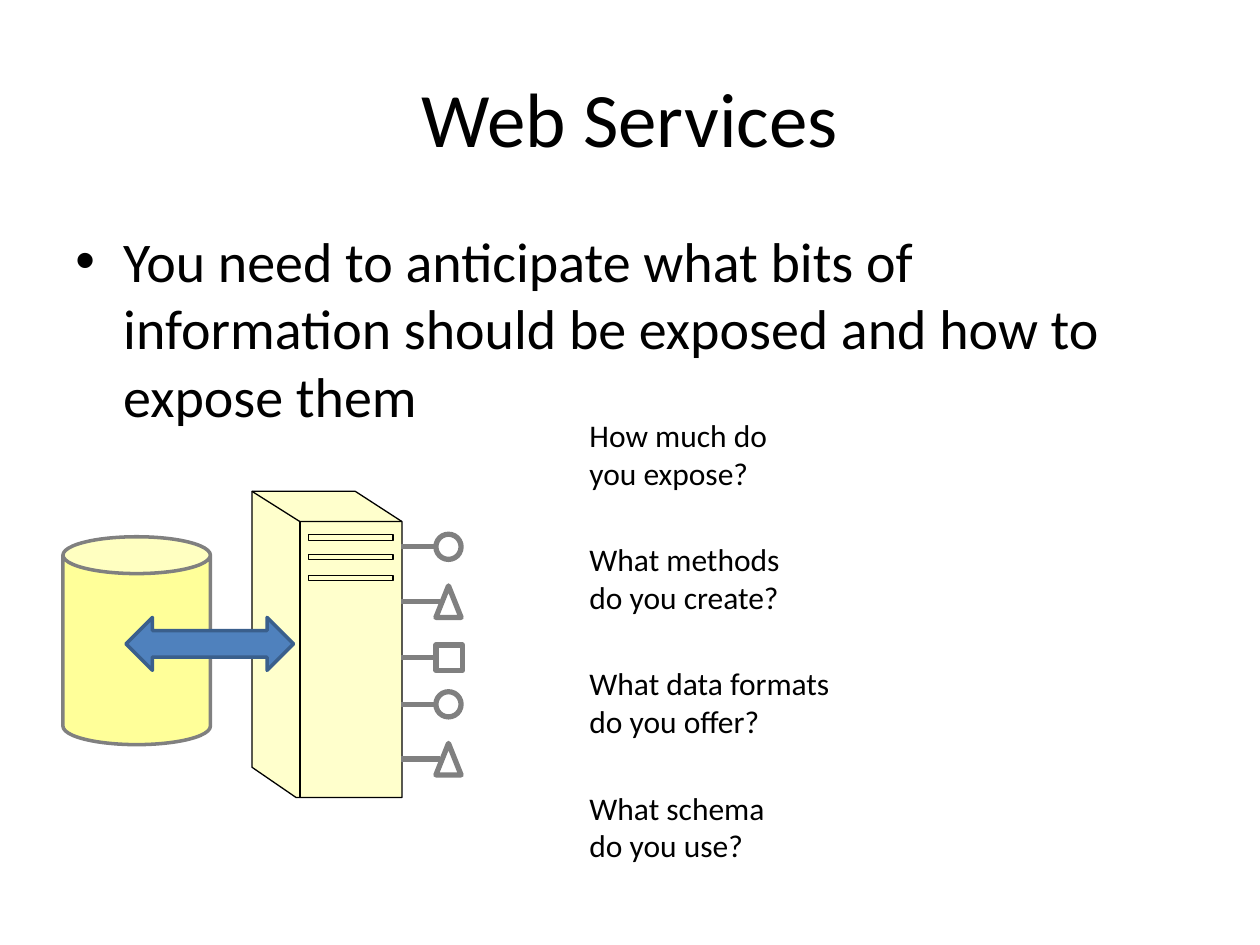
from pptx import Presentation
from pptx.dml.color import RGBColor
from pptx.enum.shapes import MSO_CONNECTOR, MSO_SHAPE
from pptx.enum.text import MSO_ANCHOR, PP_ALIGN
from pptx.oxml.ns import qn
from pptx.util import Pt
from lxml.etree import SubElement

PX = 9144
BLACK = RGBColor(0x00, 0x00, 0x00)
WHITE = RGBColor(0xFF, 0xFF, 0xFF)
GRAY = RGBColor(0x80, 0x80, 0x80)
CREAM = RGBColor(0xFF, 0xFF, 0xCC)
YELLOW = RGBColor(0xFF, 0xFF, 0x99)
BLUE = RGBColor(0x4F, 0x81, 0xBD)
NAVY = RGBColor(0x3A, 0x5F, 0x8C)

QUESTIONS = [
    ("How much do", "you expose?"),
    ("What methods", "do you create?"),
    ("What data formats", "do you offer?"),
    ("What schema", "do you use?"),
]


def style(sp, fill, line, weight):
    sp.shadow.inherit = False
    if fill is None:
        sp.fill.background()
    else:
        sp.fill.solid()
        sp.fill.fore_color.rgb = fill
    sp.line.color.rgb = line
    sp.line.width = Pt(weight)


def add_shape(s, kind, x, y, w, h, fill, line, weight):
    sp = s.shapes.add_shape(kind, x * PX, y * PX, w * PX, h * PX)
    style(sp, fill, line, weight)
    return sp


def add_outline(s, x, y, contours, close, fill):
    fb = None
    for points in contours:
        (x0, y0), *rest = [(x + dx, y + dy) for dx, dy in points]
        if fb is None:
            fb = s.shapes.build_freeform(x0, y0, scale=PX)
        else:
            fb.move_to(x0, y0)
        fb.add_line_segments(rest, close=close)
    style(fb.convert_to_shape(), fill, BLACK, 0.75)


def add_text(s, x, y, w, h, lines, size, wrap=True):
    tf = s.shapes.add_textbox(x * PX, y * PX, w * PX, h * PX).text_frame
    tf.word_wrap = wrap
    for i, line in enumerate(lines):
        p = tf.paragraphs[0] if i == 0 else tf.add_paragraph()
        r = p.add_run()
        r.text = line
        r.font.name = "Calibri"
        r.font.size = Pt(size)
        r.font.color.rgb = BLACK
    return tf


def add_title(s, x, y, w, h):
    tf = add_text(s, x, y, w, h, ["Web Services"], 44)
    tf.vertical_anchor = MSO_ANCHOR.MIDDLE
    tf.paragraphs[0].alignment = PP_ALIGN.CENTER


def add_body(s, x, y, w, h):
    text = ("You need to anticipate what bits of information should be "
            "exposed and how to expose them")
    tf = add_text(s, x, y, w, h, [text], 32)
    pPr = tf.paragraphs[0]._p.get_or_add_pPr()
    pPr.set("marL", str(38 * PX))
    pPr.set("indent", str(-38 * PX))
    SubElement(pPr, qn("a:buFont")).set("typeface", "Arial")
    SubElement(pPr, qn("a:buChar")).set("char", "•")


def add_server(s, x, y, w, h):
    front, back, depth = 38, 82, 24
    body = [(w, depth), (back, 0), (0, 0), (0, h - depth), (35, h), (w, h)]
    edges = [
        [(w, depth), (front, depth), (0, 0)],
        [(front, depth), (front, h)],
    ]
    for top, height in ((34, 5), (50, 4), (67, 4)):
        left, right, bottom = 45, 112, top + height
        edges.append([(right, top), (left, top), (left, bottom),
                      (right, bottom), (right, top)])
    add_outline(s, x, y, [body], True, CREAM)
    add_outline(s, x, y, edges, False, None)


def add_ports(s, x, y):
    ports = [
        (MSO_SHAPE.OVAL, 0, 20, 20, WHITE, 28),
        (MSO_SHAPE.ISOSCELES_TRIANGLE, 41, 20, 25, None, 31),
        (MSO_SHAPE.RECTANGLE, 88, 21, 20, None, 28),
        (MSO_SHAPE.OVAL, 125, 20, 20, WHITE, 28),
        (MSO_SHAPE.ISOSCELES_TRIANGLE, 166, 20, 25, None, 31),
    ]
    for kind, dy, w, h, fill, reach in ports:
        sp = add_shape(s, kind, x + 28, y + dy, w, h, fill, GRAY, 3)
        mid = (y + dy) * PX + h * PX // 2
        c = s.shapes.add_connector(MSO_CONNECTOR.STRAIGHT,
                                   (x + reach) * PX, mid, x * PX, mid)
        c.line.color.rgb = GRAY
        c.line.width = Pt(3)
        SubElement(c._element.spPr, qn("a:effectLst"))
        if kind == MSO_SHAPE.RECTANGLE:
            c.begin_connect(sp, 1)


def add_diagram(s, x, y):
    add_server(s, x + 150, y, 119, 243)
    add_ports(s, x + 268, y + 34)
    add_shape(s, MSO_SHAPE.CAN, x, y + 36, 117, 165, YELLOW, GRAY, 2)
    add_shape(s, MSO_SHAPE.LEFT_RIGHT_ARROW, x + 50, y + 100, 133, 42,
              BLUE, NAVY, 2)


def add_questions(s, x, y, w, h):
    item_h = 71
    step = (h - item_h) / (len(QUESTIONS) - 1)
    for i, lines in enumerate(QUESTIONS):
        add_text(s, x, y + round(i * step), w, item_h, lines, 18, wrap=False)


def main():
    prs = Presentation()
    prs.slide_width = 1000 * PX
    prs.slide_height = 750 * PX
    s = prs.slides.add_slide(prs.slide_layouts[6])
    add_title(s, 50, 30, 900, 125)
    add_body(s, 50, 175, 900, 495)
    add_diagram(s, 50, 390)
    add_questions(s, 458, 325, 219, 367)
    prs.save("out.pptx")


if __name__ == "__main__":
    main()
